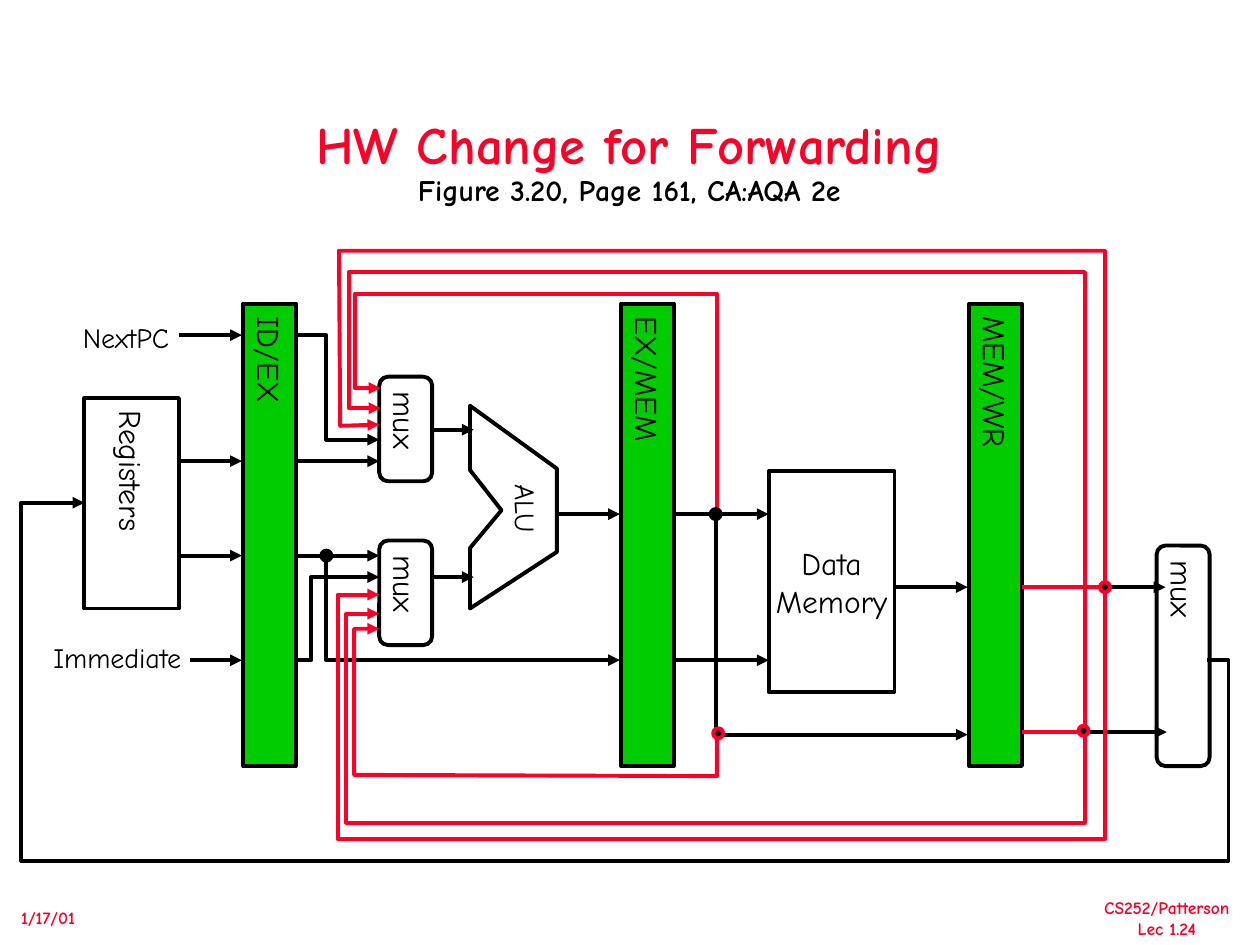
from lxml.etree import SubElement
from pptx import Presentation
from pptx.dml.color import RGBColor
from pptx.enum.shapes import MSO_CONNECTOR, MSO_SHAPE
from pptx.enum.text import MSO_ANCHOR, MSO_AUTO_SIZE, PP_ALIGN
from pptx.oxml.ns import qn
from pptx.util import Inches, Pt

RED, BLACK, GREEN = "FC0128", "000000", "00CC00"
color = RGBColor.from_string


def write(shape, text, size=18, ink=BLACK, bold=False, align=PP_ALIGN.CENTER,
          anchor=MSO_ANCHOR.MIDDLE, wrap=False, turn=False):
    frame = shape.text_frame
    frame.text = text
    frame.word_wrap = wrap
    frame.auto_size = MSO_AUTO_SIZE.NONE
    frame.vertical_anchor = anchor
    sides = (0.05, 0.1) if turn else (0.1, 0.05)
    frame.margin_left = frame.margin_right = Inches(sides[0])
    frame.margin_top = frame.margin_bottom = Inches(sides[1])
    if turn:
        frame._txBody.bodyPr.set("vert", "eaVert")
    for para in frame.paragraphs:
        para.alignment = align
        for run in para.runs:
            run.font.name = "Comic Neue"
            run.font.size = Pt(size)
            run.font.bold = bold
            run.font.color.rgb = color(ink)


def trace(points, ink=BLACK, closed=False):
    spots = [(Inches(x), Inches(y)) for x, y in points]
    if len(spots) == 2:
        wire = shapes.add_connector(MSO_CONNECTOR.STRAIGHT, *spots[0], *spots[1])
    else:
        pen = shapes.build_freeform(*spots[0], scale=1.0)
        pen.add_line_segments(spots[1:], close=closed)
        wire = pen.convert_to_shape()
        wire.fill.background()
    wire.line.color.rgb = color(ink)
    wire.line.width = Pt(2.25)
    if not closed:
        SubElement(wire.line._get_or_add_ln(), qn("a:tailEnd"), type="triangle")
    SubElement(wire._element.spPr, qn("a:effectLst"))


deck = Presentation()
deck.slide_width, deck.slide_height = Inches(10), Inches(7.5)
slide = deck.slides.add_slide(deck.slide_layouts[5])
shapes = slide.shapes

title = shapes.title
title.left, title.top = Inches(1.08), Inches(0.67)
title.width, title.height = Inches(7.83), Inches(1.25)
write(title, "HW Change for Forwarding\nFigure 3.20, Page 161, CA:AQA 2e",
      size=30, ink=RED, bold=True, wrap=True)
for para in title.text_frame.paragraphs:
    para.line_spacing = 0.9
under = title.text_frame.paragraphs[1].runs[0].font
under.size = Pt(17)
under.color.rgb = color(BLACK)

RECT, ROUND = MSO_SHAPE.RECTANGLE, MSO_SHAPE.ROUNDED_RECTANGLE
boxes = [
    ("ID/EX", RECT, 1.93, 2.41, 0.42, 3.67, GREEN, True),
    ("EX/MEM", RECT, 4.93, 2.41, 0.42, 3.67, GREEN, True),
    ("MEM/WR", RECT, 7.69, 2.41, 0.42, 3.67, GREEN, True),
    ("Registers", RECT, 0.67, 3.16, 0.75, 1.67, None, True),
    ("Data\nMemory", RECT, 6.1, 3.74, 1, 1.75, None, False),
    ("mux", ROUND, 3.01, 2.99, 0.42, 0.83, None, True),
    ("mux", ROUND, 3.01, 4.29, 0.42, 0.83, None, True),
    ("mux", ROUND, 9.18, 4.33, 0.42, 1.75, None, True),
]
for text, kind, x, y, w, h, fill, turn in boxes:
    box = shapes.add_shape(kind, Inches(x), Inches(y), Inches(w), Inches(h))
    box.shadow.inherit = False
    box.line.color.rgb = color(BLACK)
    box.line.width = Pt(2.25)
    if fill:
        box.fill.solid()
        box.fill.fore_color.rgb = color(fill)
    else:
        box.fill.background()
    write(box, text, turn=turn)

trace([(3.73, 3.22), (4.42, 3.72), (4.42, 4.38), (3.73, 4.83), (3.73, 4.35),
       (3.98, 4.05), (3.73, 3.73)], closed=True)

labels = [
    ("ALU", 3.88, 3.85, 0.59, 0.37, 90, {"size": 16}),
    ("NextPC", 0.56, 2.49, 0.88, 0.37, 0, {"size": 16}),
    ("Immediate", 0.32, 5.03, 1.22, 0.37, 0, {"size": 16}),
    ("CS252/Patterson\nLec 1.24", 8.66, 7.07, 1.2, 0.43, 0,
     {"size": 10, "ink": RED, "bold": True, "anchor": MSO_ANCHOR.TOP}),
    ("1/17/01", 0.07, 7.15, 0.62, 0.27, 0,
     {"size": 10, "ink": RED, "bold": True, "anchor": MSO_ANCHOR.TOP,
      "align": PP_ALIGN.LEFT}),
]
for text, x, y, w, h, spin, form in labels:
    label = shapes.add_textbox(Inches(x), Inches(y), Inches(w), Inches(h))
    label.rotation = spin
    write(label, text, **form)

flats = [
    (1.42, 1.92, 2.66), (1.42, 1.92, 3.66), (1.42, 1.92, 4.41), (1.51, 1.92, 5.24),
    (2.34, 3.01, 3.66), (2.34, 3.01, 4.41), (3.42, 3.76, 3.41), (3.42, 3.76, 4.58),
    (4.42, 4.92, 4.08), (5.34, 6.1, 4.08), (5.34, 6.1, 5.24), (7.1, 7.68, 4.66),
    (8.11, 9.25, 4.66), (8.11, 9.26, 5.81),
]
for start, end, y in flats:
    trace([(start, y), (end, y)])

bends = [
    [(2.34, 2.66), (2.59, 2.66), (2.59, 3.49), (3.01, 3.49)],
    [(2.34, 5.24), (2.47, 5.24), (2.47, 4.58), (3.01, 4.58)],
    [(2.59, 4.41), (2.59, 5.24), (4.92, 5.24)],
    [(5.68, 4.08), (5.68, 5.83), (7.68, 5.83)],
    [(9.58, 5.24), (9.75, 5.24), (9.75, 6.83), (0.17, 6.83), (0.17, 3.99), (0.67, 3.99)],
]
for bend in bends:
    trace(bend)

loops = [
    [(5.69, 5.83), (5.69, 6.16), (2.81, 6.15), (2.81, 4.99), (3.01, 4.99)],
    [(8.77, 4.66), (8.77, 1.99), (2.69, 1.99), (2.7, 3.38), (3.01, 3.37)],
    [(8.11, 5.81), (8.61, 5.81), (8.61, 6.53), (2.75, 6.53), (2.75, 4.87), (3.01, 4.87)],
    [(8.11, 4.66), (8.77, 4.66), (8.77, 6.66), (2.68, 6.66), (2.68, 4.72), (3.01, 4.72)],
    [(5.69, 4.08), (5.69, 2.33), (2.82, 2.33), (2.82, 3.08), (3.02, 3.08)],
    [(8.61, 5.83), (8.61, 2.16), (2.77, 2.16), (2.77, 3.24), (3.02, 3.24)],
]
for loop in loops:
    trace(loop, RED)

dots = [(5.64, 4.04, BLACK), (2.55, 4.37, BLACK), (5.66, 5.78, RED),
        (8.56, 5.76, RED), (8.73, 4.62, RED)]
for x, y, ring in dots:
    dot = shapes.add_shape(MSO_SHAPE.OVAL, Inches(x), Inches(y), Inches(0.08), Inches(0.08))
    dot.shadow.inherit = False
    dot.fill.solid()
    dot.fill.fore_color.rgb = color(BLACK)
    dot.line.color.rgb = color(ring)
    dot.line.width = Pt(2.25)

deck.save("out.pptx")
